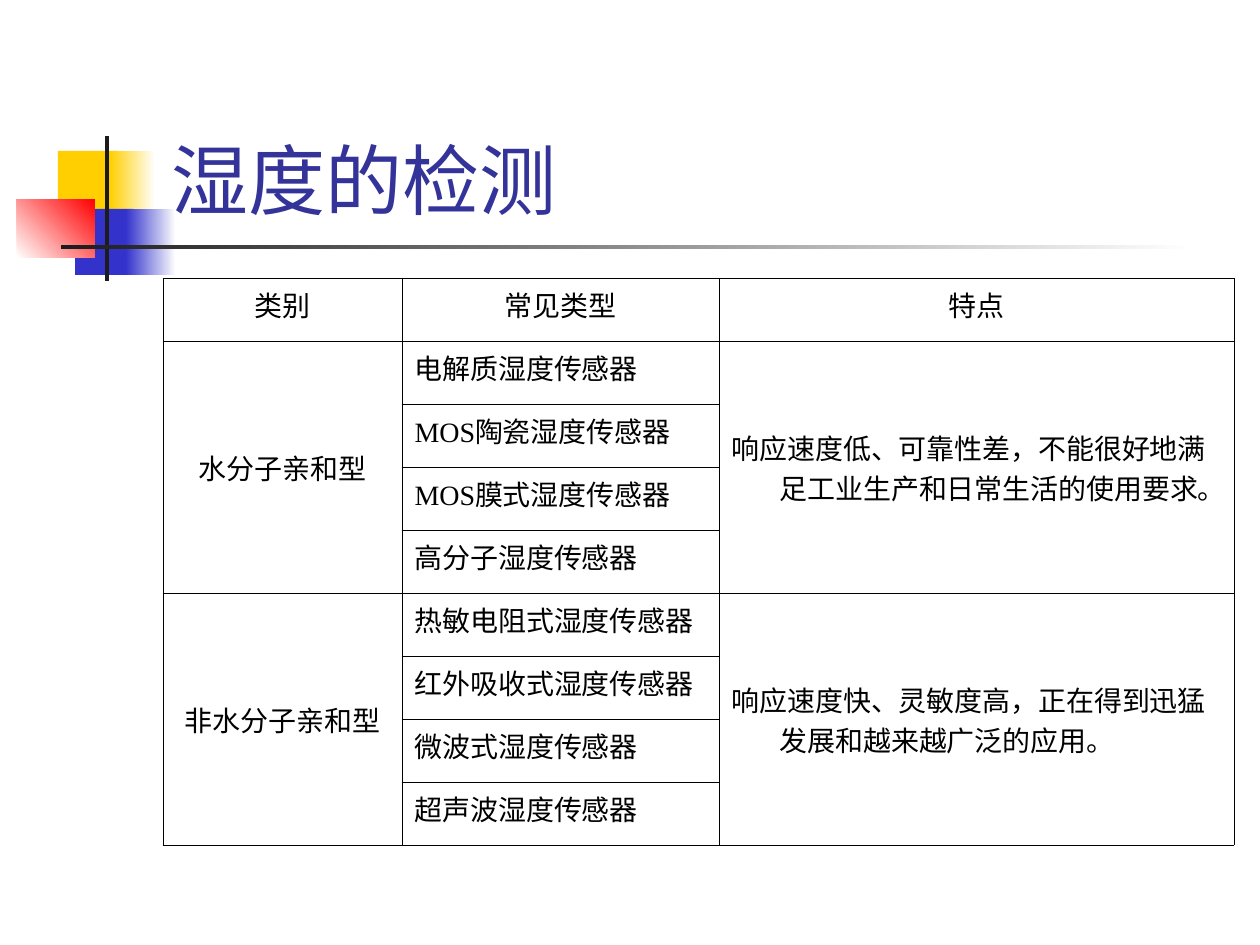
from lxml import etree
from pptx import Presentation
from pptx.dml.color import RGBColor
from pptx.enum.shapes import MSO_SHAPE
from pptx.enum.text import MSO_ANCHOR, PP_ALIGN
from pptx.oxml.ns import qn
from pptx.util import Pt

EMU_PER_PX = 914400 / 126
COLORS = {
    "yellow": "FFCF01",
    "blue": "3333CC",
    "red": "FF0000",
    "dark": "1C1C1C",
    "white": "FFFFFF",
    "title": "333399",
    "black": "000000",
}


def px(value):
    return round(value * EMU_PER_PX)


def write_text(frame, text, size, font, color, align=PP_ALIGN.LEFT, hanging=0):
    paragraph = frame.paragraphs[0]
    paragraph.alignment = align
    if hanging:
        properties = paragraph._p.get_or_add_pPr()
        properties.set("marL", str(px(hanging)))
        properties.set("indent", str(-px(hanging)))
    run = paragraph.add_run()
    run.text = text
    run.font.size = Pt(size)
    run.font.name = font
    run.font.color.rgb = RGBColor.from_string(COLORS[color])


presentation = Presentation()
presentation.slide_width = px(1260)
presentation.slide_height = px(945)
slide = presentation.slides.add_slide(presentation.slide_layouts[6])

# Decorative blocks and rules: left, top, width, height, colours, gradient angle
blocks = [
    (58, 151, 60, 66, ["yellow"], 0),
    (110, 151, 45, 66, ["yellow", "white"], 0),
    (75, 209, 58, 66, ["blue"], 0),
    (126, 209, 50, 66, ["blue", "white"], 0),
    (17, 199, 78, 59, ["white", "red"], 45),
    (105, 136, 4, 145, ["dark"], 0),
    (61, 245, 1134, 4, ["dark", "white"], 0),
]
for left, top, width, height, names, angle in blocks:
    shape = slide.shapes.add_shape(
        MSO_SHAPE.RECTANGLE, px(left), px(top), px(width), px(height))
    shape.shadow.inherit = False
    shape.line.fill.background()
    if len(names) == 1:
        shape.fill.solid()
        shape.fill.fore_color.rgb = RGBColor.from_string(COLORS[names[0]])
    else:
        shape.fill.gradient()
        shape.fill.gradient_angle = angle
        for stop, name in zip(shape.fill.gradient_stops, names):
            stop.color.rgb = RGBColor.from_string(COLORS[name])

# Title
title = slide.shapes.add_textbox(px(159), px(29), px(1074), px(202))
title.text_frame.word_wrap = True
title.text_frame.vertical_anchor = MSO_ANCHOR.BOTTOM
write_text(title.text_frame, "湿度的检测", size=44, font="Roboto", color="title")

# Table contents: each category spans its sensor types
headers = ["类别", "常见类型", "特点"]
categories = [
    ("水分子亲和型",
     ["电解质湿度传感器", "MOS陶瓷湿度传感器", "MOS膜式湿度传感器", "高分子湿度传感器"],
     "响应速度低、可靠性差，不能很好地满足工业生产和日常生活的使用要求。"),
    ("非水分子亲和型",
     ["热敏电阻式湿度传感器", "红外吸收式湿度传感器", "微波式湿度传感器", "超声波湿度传感器"],
     "响应速度快、灵敏度高，正在得到迅猛发展和越来越广泛的应用。"),
]
column_widths = [239, 317, 515]
row_height = 63
row_count = 1 + sum(len(sensors) for _, sensors, _ in categories)
table = slide.shapes.add_table(
    row_count, len(headers), px(163), px(278),
    px(sum(column_widths)), px(row_height * row_count)).table
table.first_row = False
table.horz_banding = False
for column, width in zip(table.columns, column_widths):
    column.width = px(width)
for row in table.rows:
    row.height = px(row_height)

# Clear fills and thin black borders
for cell in table.iter_cells():
    cell.fill.background()
    properties = cell._tc.get_or_add_tcPr()
    for index, side in enumerate(["a:lnL", "a:lnR", "a:lnT", "a:lnB"]):
        border = etree.Element(qn(side), w=str(Pt(0.45)))
        fill = etree.SubElement(border, qn("a:solidFill"))
        etree.SubElement(fill, qn("a:srgbClr"), val=COLORS["black"])
        properties.insert(index, border)

# Table text
cell_format = {"size": 16, "font": "Times New Roman", "color": "black", "hanging": 48}
for column, header in enumerate(headers):
    write_text(table.cell(0, column).text_frame, header,
               align=PP_ALIGN.CENTER, **cell_format)

first = 1
for category, sensors, feature in categories:
    last = first + len(sensors) - 1
    for column, text, align in [(0, category, PP_ALIGN.CENTER),
                                (2, feature, PP_ALIGN.LEFT)]:
        cell = table.cell(first, column)
        cell.merge(table.cell(last, column))
        cell.vertical_anchor = MSO_ANCHOR.MIDDLE
        write_text(cell.text_frame, text, align=align, **cell_format)
    for row, sensor in enumerate(sensors, start=first):
        write_text(table.cell(row, 1).text_frame, sensor, **cell_format)
    first = last + 1

presentation.save("out.pptx")
